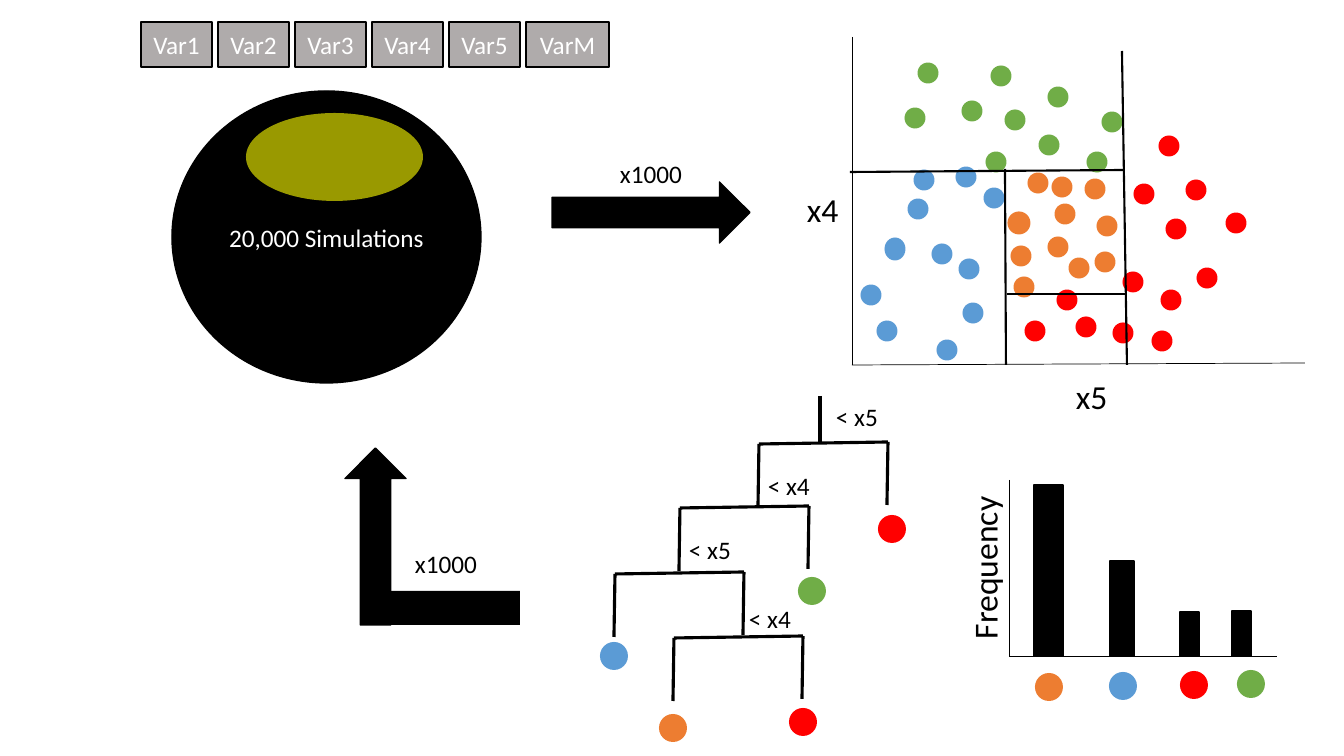
from lxml import etree
from pptx import Presentation
from pptx import util as u
from pptx.dml.color import RGBColor
from pptx.enum import shapes, text
from pptx.oxml.ns import qn

BLACK = RGBColor(0, 0, 0)
WHITE = RGBColor(255, 255, 255)
GRAY = RGBColor(0xAF, 0xAB, 0xAB)
YELLOW = RGBColor(255, 255, 0)
RED = RGBColor(255, 0, 0)
GREEN = RGBColor(0x70, 0xAD, 0x47)
BLUE = RGBColor(0x5B, 0x9B, 0xD5)
ORANGE = RGBColor(0xED, 0x7D, 0x31)

SCALE = 914400 / 100.8
FONT = "Calibri"
RECTANGLE = shapes.MSO_SHAPE.RECTANGLE
OVAL = shapes.MSO_SHAPE.OVAL
ARROW = shapes.MSO_SHAPE.RIGHT_ARROW

SAMPLES = {
    BLUE: [(973, 313), (942, 254), (924, 180), (918, 209), (966, 177), (895, 249),
           (994, 198), (969, 269), (947, 350), (887, 331), (871, 295)],
    ORANGE: [(1062, 187), (1024, 287), (1095, 189), (1019, 223), (1058, 247), (1021, 256),
             (1107, 226), (1065, 214), (1105, 262), (1038, 183), (1079, 268)],
    GREEN: [(996, 162), (1097, 162), (1058, 97), (928, 73), (972, 111), (1049, 145),
            (1112, 122), (1001, 76), (915, 118), (1015, 120)],
    RED: [(1086, 327), (1133, 282), (1144, 194), (1162, 341), (1169, 146), (1207, 278),
          (1236, 223), (1176, 229), (1196, 190), (1067, 300), (1123, 333), (1171, 300),
          (1035, 331)],
}
LARGER_SAMPLES = {(895, 249): (21, 23), (1019, 223): (23, 23)}
AXES = [(852, 37, 852, 365), (1305, 363, 852, 365),
        (1009, 480, 1009, 656), (1277, 656, 1009, 656)]
SPLITS = [(1122, 51, 1127, 365), (850, 172, 1125, 170),
          (1006, 365, 1005, 169), (1007, 294, 1127, 294)]
FORKS = [(759, 444), (680, 508), (615, 574), (674, 638)]
LEAVES = [(892, 529, RED), (812, 591, GREEN), (614, 656, BLUE),
          (673, 728, ORANGE), (803, 722, RED)]
BARS = [(1034, 29, 485), (1110, 24, 561), (1180, 19, 612), (1232, 19, 611)]
BAR_KEYS = [(1049, 687, ORANGE), (1123, 686, BLUE), (1194, 685, RED), (1251, 684, GREEN)]
LABELS = [("x5", 1066, 371, 52, 24), ("x4", 797, 184, 52, 24),
          ("< x5", 826, 396, 62, 18), ("< x4", 758, 465, 62, 18),
          ("< x5", 679, 529, 62, 18), ("< x4", 739, 598, 62, 18),
          ("x1000", 610, 153, 83, 18), ("x1000", 405, 543, 83, 18)]


def px(value):
    return u.Emu(round(value * SCALE))


def add_span(frame, words, size, color):
    span = frame.paragraphs[0].add_run()
    span.text = words
    span.font.name = FONT
    span.font.size = u.Pt(size)
    span.font.color.rgb = color


def add_shape(target, kind, left, top, width, height, fill, outlined=False):
    shape = target.shapes.add_shape(kind, px(left), px(top), px(width), px(height))
    shape.shadow.inherit = False
    shape.fill.solid()
    shape.fill.fore_color.rgb = fill
    if outlined:
        shape.line.color.rgb = BLACK
        shape.line.width = u.Pt(1)
    else:
        shape.line.fill.background()
    return shape


def add_caption(shape, words):
    frame = shape.text_frame
    frame.vertical_anchor = text.MSO_ANCHOR.MIDDLE
    frame.paragraphs[0].alignment = text.PP_ALIGN.CENTER
    add_span(frame, words, 18, WHITE)


def add_dot(page, x, y, width, height, color):
    add_shape(page, OVAL, x - width / 2, y - height / 2, width, height, color)


def add_line(page, start_x, start_y, end_x, end_y, weight):
    line = page.shapes.add_connector(shapes.MSO_CONNECTOR.STRAIGHT, px(start_x),
                                     px(start_y), px(end_x), px(end_y))
    line.line.color.rgb = BLACK
    line.line.width = u.Pt(weight)
    etree.SubElement(line._element.spPr, qn("a:effectLst"))


def add_label(page, words, left, top, width, size):
    height = 50 if size == 24 else 40
    box = page.shapes.add_textbox(px(left), px(top), px(width), px(height))
    frame = box.text_frame
    frame.word_wrap = False
    frame.auto_size = text.MSO_AUTO_SIZE.SHAPE_TO_FIT_TEXT
    add_span(frame, words, size, BLACK)
    return box


def add_fork(page, left, top):
    right = left + 129
    add_line(page, right, top - 2, left, top, 2.25)
    add_line(page, left - 1, top + 63, left, top, 2.25)
    add_line(page, right - 1, top + 61, right, top - 2, 2.25)


def add_variables(page):
    for index, name in enumerate(["Var1", "Var2", "Var3", "Var4", "Var5", "VarM"]):
        width = 83 if name == "VarM" else 71
        box = add_shape(page, RECTANGLE, 141 + 77 * index, 22, width, 45, GRAY, True)
        add_caption(box, name)


def add_simulations(page):
    pool = add_shape(page, OVAL, 172, 91, 309, 292, BLACK, True)
    add_caption(pool, "20,000 Simulations")
    subset = add_shape(page, OVAL, 246, 113, 177, 88, YELLOW)
    color = subset._element.spPr.find(".//" + qn("a:srgbClr"))
    etree.SubElement(color, qn("a:alpha")).set("val", "60000")


def add_partition(page):
    for axis in AXES:
        add_line(page, *axis, 0.5)
    for color, centers in SAMPLES.items():
        for center in centers:
            add_dot(page, *center, *LARGER_SAMPLES.get(center, (21, 21)), color)
    for split in SPLITS:
        add_line(page, *split, 1.5)


def add_tree(page):
    add_line(page, 820, 396, 820, 444, 2.25)
    for fork in FORKS:
        add_fork(page, *fork)
    for x, y, color in LEAVES:
        add_dot(page, x, y, 28, 28, color)


def add_arrows(page):
    add_shape(page, ARROW, 552, 182, 198, 61, BLACK, True)
    bent_arrow = page.shapes.add_group_shape()
    upward = add_shape(bent_arrow, ARROW, 287, 506, 177, 61, BLACK, True)
    upward.rotation = 270
    add_shape(bent_arrow, RECTANGLE, 362, 591, 158, 34, BLACK)


def add_frequencies(page):
    for left, width, top in BARS:
        add_shape(page, RECTANGLE, left, top, width, 656 - top, BLACK, True)
    for x, y, color in BAR_KEYS:
        add_dot(page, x, y, 28, 28, color)
    title = add_label(page, "Frequency", 902, 542, 164, 24)
    title.rotation = 270


def main():
    deck = Presentation()
    deck.slide_width, deck.slide_height = px(1344), px(756)
    page = deck.slides.add_slide(deck.slide_layouts[6])
    add_partition(page)
    add_variables(page)
    add_simulations(page)
    add_tree(page)
    add_arrows(page)
    add_frequencies(page)
    for label in LABELS:
        add_label(page, *label)
    deck.save("out.pptx")


main()
